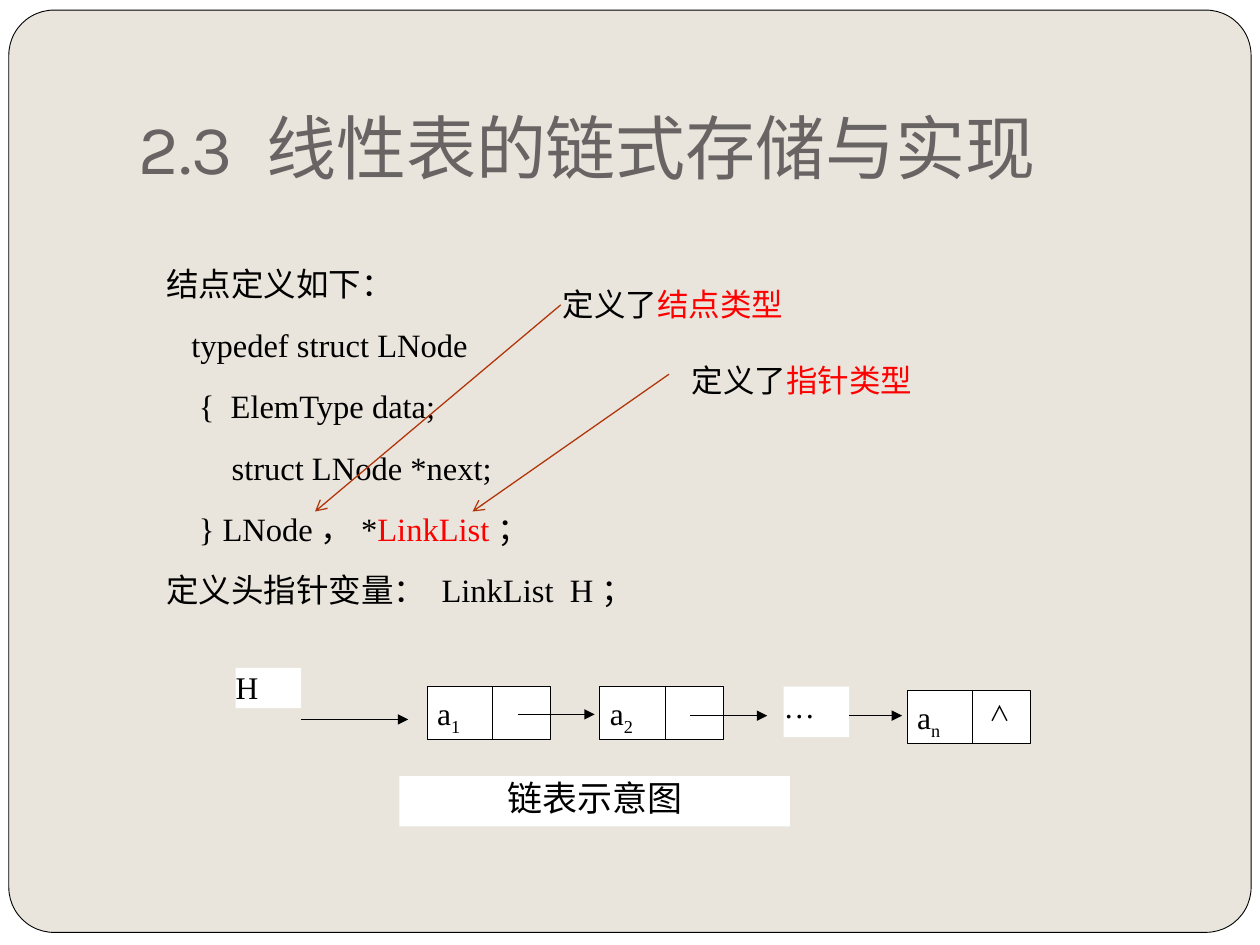
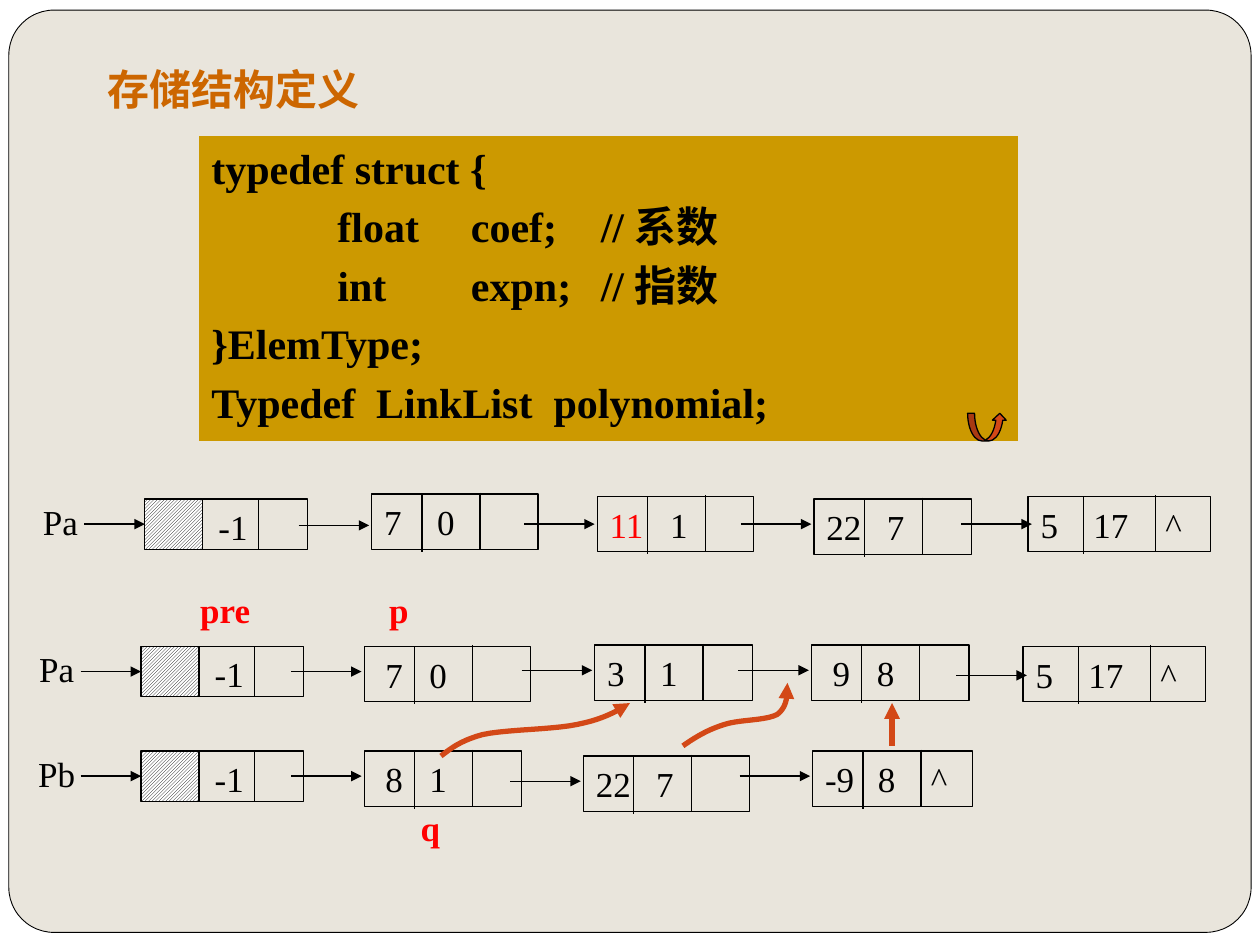
from lxml.etree import SubElement
from pptx import Presentation
from pptx.dml.color import RGBColor
from pptx.enum.dml import MSO_PATTERN
from pptx.enum.shapes import MSO_CONNECTOR, MSO_SHAPE as SHAPE
from pptx.enum.text import MSO_ANCHOR as ANCHOR, PP_ALIGN as ALIGN
from pptx.oxml.ns import qn
from pptx.util import Inches, Pt

SERIF, SANS, TITLE_FONT = "Times New Roman", "Noto Sans CJK SC", "Karla"
INK, WHITE, PAPER, RED = "000000", "FFFFFF", "E9E5DC", "FF0000"
GREY, RUST, ORANGE, GOLD, BROWN = "696464", "B1360B", "D34817", "CC9900", "CC6600"


def rgb(value):
    return RGBColor.from_string(value)


def box(x, y, w, h):
    return Inches(x), Inches(y), Inches(w), Inches(h)


def style_shape(sp, fill=None, line=None, width=0.75):
    sp.shadow.inherit = False
    if fill:
        sp.fill.solid()
        sp.fill.fore_color.rgb = rgb(fill)
    else:
        sp.fill.background()
    if line:
        sp.line.color.rgb = rgb(line)
        sp.line.width = Pt(width)
    else:
        sp.line.fill.background()


def add_box(s, x, y, w, h, fill=None, line=None, kind=SHAPE.RECTANGLE, width=0.75):
    sp = s.shapes.add_shape(kind, *box(x, y, w, h))
    style_shape(sp, fill, line, width)
    return sp


def set_text(sp, paras, size, color=INK, font=SERIF, bold=False, align=ALIGN.LEFT,
             anchor=ANCHOR.TOP, inset=None, leading=None, before=None):
    tf = sp.text_frame
    tf.word_wrap = True
    tf.vertical_anchor = anchor
    if inset is not None:
        tf.margin_left = tf.margin_right = tf.margin_top = tf.margin_bottom = Inches(inset)
    for i, runs in enumerate(paras):
        p = tf.add_paragraph() if i else tf.paragraphs[0]
        p.alignment = align
        if leading:
            p.line_spacing = Pt(leading)
        if before:
            p.space_before = Pt(before)
        p.font.name, p.font.size, p.font.bold = font, Pt(size), bold
        p.font.color.rgb = rgb(color)
        def_rpr = p._p.get_or_add_pPr().find(qn("a:defRPr"))
        SubElement(def_rpr, qn("a:ea"), typeface=SANS)
        for text, run_color in [(runs, None)] if isinstance(runs, str) else runs:
            r = p.add_run()
            r.text = text
            if run_color:
                r.font.color.rgb = rgb(run_color)
    return tf.paragraphs


def add_text(s, x, y, w, h, paras, size, **style):
    return set_text(s.shapes.add_textbox(*box(x, y, w, h)), paras, size, **style)


def set_tabs(p, stops):
    pPr = p._p.get_or_add_pPr()
    tabs = pPr.makeelement(qn("a:tabLst"))
    pPr.find(qn("a:defRPr")).addprevious(tabs)
    for stop in stops:
        SubElement(tabs, qn("a:tab"), pos=str(Inches(stop)), algn="l")


def add_head(sp, kind):
    SubElement(sp.line._get_or_add_ln(), qn("a:tailEnd"), type=kind)


def add_line(s, x1, y1, x2, y2, head=None, color=INK, width=0.75):
    c = s.shapes.add_connector(MSO_CONNECTOR.STRAIGHT, Inches(x1), Inches(y1),
                               Inches(x2), Inches(y2))
    c.line.color.rgb = rgb(color)
    c.line.width = Pt(width)
    if head:
        add_head(c, head)
    SubElement(c._element.spPr, qn("a:effectLst"))
    return c


def bezier(a, b, c, d, steps=10):
    for i in range(1, steps + 1):
        t = i / steps
        u = 1 - t
        yield tuple(Inches(u**3 * p + 3 * u * u * t * q + 3 * u * t * t * v + t**3 * w)
                    for p, q, v, w in zip(a, b, c, d))


def add_curve(s, points):
    fb = s.shapes.build_freeform(Inches(points[0][0]), Inches(points[0][1]))
    for i in range(0, len(points) - 1, 3):
        fb.add_line_segments(list(bezier(*points[i:i + 4])), close=False)
    sp = fb.convert_to_shape()
    style_shape(sp, line=ORANGE, width=3)
    add_head(sp, "triangle")


def add_title(s, text, place, size, **style):
    title = s.shapes.title
    title.left, title.top, title.width, title.height = box(*place)
    set_text(title, [text], size, **style)


def add_frame(prs, s):
    master = prs.slide_master
    master.background.fill.solid()
    master.background.fill.fore_color.rgb = rgb(WHITE)
    frame = add_box(s, 0.07, 0.08, 9.86, 7.32, PAPER, INK, SHAPE.ROUNDED_RECTANGLE, 0.5)
    frame.adjustments[0] = 0.049
    el = frame._element
    el.nvSpPr.cNvPr.set("id", "20")
    master.shapes._spTree.insert(2, el)


def add_small_text(s, x, y, w, h, text, size=18, font=SERIF):
    sp = add_box(s, x, y, w, h, WHITE)
    return set_text(sp, [text], size, font=font, inset=0)[0]


def add_list_node(s, x, y, index):
    add_box(s, x, y, 0.98, 0.42, WHITE, INK)
    p = add_small_text(s, x + 0.08, y + 0.06, 0.37, 0.31, "a")
    r = p.add_run()
    r.text = index
    r._r.get_or_add_rPr().set("baseline", "-25000")
    add_line(s, x + 0.52, y, x + 0.52, y + 0.42)


def add_header(s, name, x, y):
    centred = {"align": ALIGN.CENTER, "anchor": ANCHOR.MIDDLE}
    add_text(s, x - 1.02, y - 0.04, 0.7, 0.43, [name], 20, **centred)
    shaded = add_box(s, x, y, 0.46, 0.4, WHITE, INK)
    shaded.fill.patterned()
    shaded.fill.pattern = MSO_PATTERN.LIGHT_UPWARD_DIAGONAL
    shaded.fill.fore_color.rgb = rgb(INK)
    shaded.fill.back_color.rgb = rgb(WHITE)
    add_box(s, x + 0.46, y, 0.83, 0.4, line=INK)
    add_line(s, x + 0.9, y, x + 0.9, y + 0.4)
    add_text(s, x + 0.35, y, 0.7, 0.43, ["-1"], 20, **centred)
    add_line(s, x - 0.48, y + 0.2, x, y + 0.2, "triangle").end_connect(shaded, 1)


def add_term(s, x, y, w, arrow_y, values, first_color=INK):
    wide = w > 1.4
    first, second = (0.44, 1.01) if wide else (0.4, 0.86)
    sp = add_box(s, x, y, w, 0.44, line=INK)
    runs = [(values[0], first_color), ("\t" + "\t".join(values[1:]), INK)]
    p = set_text(sp, [runs], 20, anchor=ANCHOR.MIDDLE)[0]
    set_tabs(p, [0.48 if values[0].isdigit() and len(values[0]) == 2 else 0.42,
                 second - 0.02])
    add_line(s, x + first, y, x + first, y + 0.46)
    add_line(s, x + second, y - 0.01, x + second, y + 0.44)
    tip = x + (0.03 if wide else -0.02)
    add_line(s, tip - 0.56, arrow_y, tip, arrow_y, "triangle")


def add_definition(s):
    lines = [
        (0, "结点定义如下："),
        (0.2, "typedef struct LNode"),
        (0.26, "{  ElemType data;"),
        (0.52, "struct LNode *next;"),
        (0.26, [("} LNode，*", INK), ("LinkList", RED), ("；", INK)]),
        (0, "定义头指针变量： LinkList  H；"),
    ]
    paras = add_text(s, 1.22, 1.95, 7.8, 3.07, [text for _, text in lines], 18.6,
                     leading=29.2, before=5.8)
    for p, (indent, _) in zip(paras, lines):
        p._p.get_or_add_pPr().set("marL", str(Inches(indent)))


def build_list_slide(s):
    add_title(s, "2.3 线性表的链式存储与实现", (1, 0.3, 8.5, 1.25), 40, color=GREY,
              font=TITLE_FONT, anchor=ANCHOR.BOTTOM)
    add_definition(s)
    caption = add_box(s, 3.17, 6.16, 3.1, 0.4, WHITE)
    set_text(caption, ["链表示意图"], 20, font=SANS, align=ALIGN.CENTER, inset=0)
    add_small_text(s, 1.87, 5.3, 0.52, 0.32, "H")
    add_small_text(s, 6.22, 5.45, 0.52, 0.4, "…")
    for x, y, index in [(3.39, 5.45, "1"), (4.76, 5.45, "2"), (7.2, 5.48, "n")]:
        add_list_node(s, x, y, index)
    add_small_text(s, 7.85, 5.56, 0.29, 0.25, "∧", 12, SANS)
    for x1, x2, y in [(2.39, 3.24, 5.71), (4.11, 4.72, 5.67),
                      (5.48, 6.09, 5.68), (6.74, 7.16, 5.68)]:
        add_line(s, x1, y, x2, y, "triangle")
    for x, y, kind, arrow in [(5.39, 2.8, "指针类型", (5.31, 2.97, 3.75, 4.06)),
                              (4.37, 2.19, "结点类型", (4.45, 2.42, 2.5, 4.06))]:
        add_line(s, *arrow, "arrow", RUST)
        add_text(s, x, y, 2.97, 0.4, [[("定义了", INK), (kind, RED)]], 18, leading=23)


def build_polynomial_slide(s):
    add_title(s, "存储结构定义", (0.75, 0.42, 8.5, 0.58), 24, color=BROWN, bold=True,
              leading=31)
    code = add_box(s, 1.58, 1.08, 6.5, 2.42, GOLD)
    for p in set_text(code, ["typedef struct {", "\tfloat\tcoef;\t//系数",
                             "\tint\texpn;\t//指数", "}ElemType;",
                             "Typedef  LinkList  polynomial;"], 24, bold=True,
                      leading=28.7, before=4.8):
        set_tabs(p, [1, 2.06, 3.09])
    add_box(s, 7.68, 3.28, 0.31, 0.22, ORANGE, INK, SHAPE.CURVED_UP_ARROW)

    chains = [
        ("Pa", 1.15, 3.96, [
            (2.95, 3.92, 1.32, 4.17, ["7", "0"]),
            (4.74, 3.94, 1.24, 4.16, ["11", "1"], RED),
            (6.46, 3.96, 1.25, 4.16, ["22", "7"]),
            (8.16, 3.94, 1.45, 4.16, ["5", "17", "^"])]),
        ("Pa", 1.12, 5.13, [
            (2.89, 5.13, 1.32, 5.33, [" 7", "0"]),
            (4.72, 5.12, 1.25, 5.32, ["3", "1"]),
            (6.44, 5.12, 1.25, 5.32, [" 9", "8"]),
            (8.12, 5.13, 1.45, 5.36, ["5", "17", "^"])]),
        ("Pb", 1.12, 5.96, [
            (2.89, 5.96, 1.25, 6.16, [" 8", "1"]),
            (4.63, 6, 1.32, 6.2, ["22", "7"]),
            (6.45, 5.96, 1.27, 6.16, ["-9", "8", "^"])]),
    ]
    for name, x, y, terms in chains:
        add_header(s, name, x, y)
        for term in terms:
            add_term(s, *term)

    add_curve(s, [(3.5, 6), (3.58, 5.94), (3.65, 5.88), (3.83, 5.83), (4.01, 5.79),
                  (4.39, 5.79), (4.58, 5.75), (4.78, 5.71), (4.89, 5.65), (5, 5.58)])
    add_curve(s, [(5.42, 5.92), (5.52, 5.85), (5.62, 5.79), (5.75, 5.75), (5.87, 5.71),
                  (6.08, 5.72), (6.17, 5.67), (6.25, 5.61), (6.25, 5.51), (6.25, 5.42)])
    add_line(s, 7.08, 5.92, 7.08, 5.58, "triangle", ORANGE, 3)
    for text, x, y in [("pre", 1.49, 4.62), ("p", 2.99, 4.62), ("q", 3.24, 6.35)]:
        add_text(s, x, y, 0.7, 0.44, [text], 20, color=RED, bold=True)


def main():
    prs = Presentation()
    prs.slide_width, prs.slide_height = Inches(10), Inches(7.5)
    list_slide, polynomial_slide = (prs.slides.add_slide(prs.slide_layouts[5])
                                    for _ in range(2))
    add_frame(prs, list_slide)
    build_list_slide(list_slide)
    build_polynomial_slide(polynomial_slide)
    prs.save("out.pptx")


if __name__ == "__main__":
    main()
